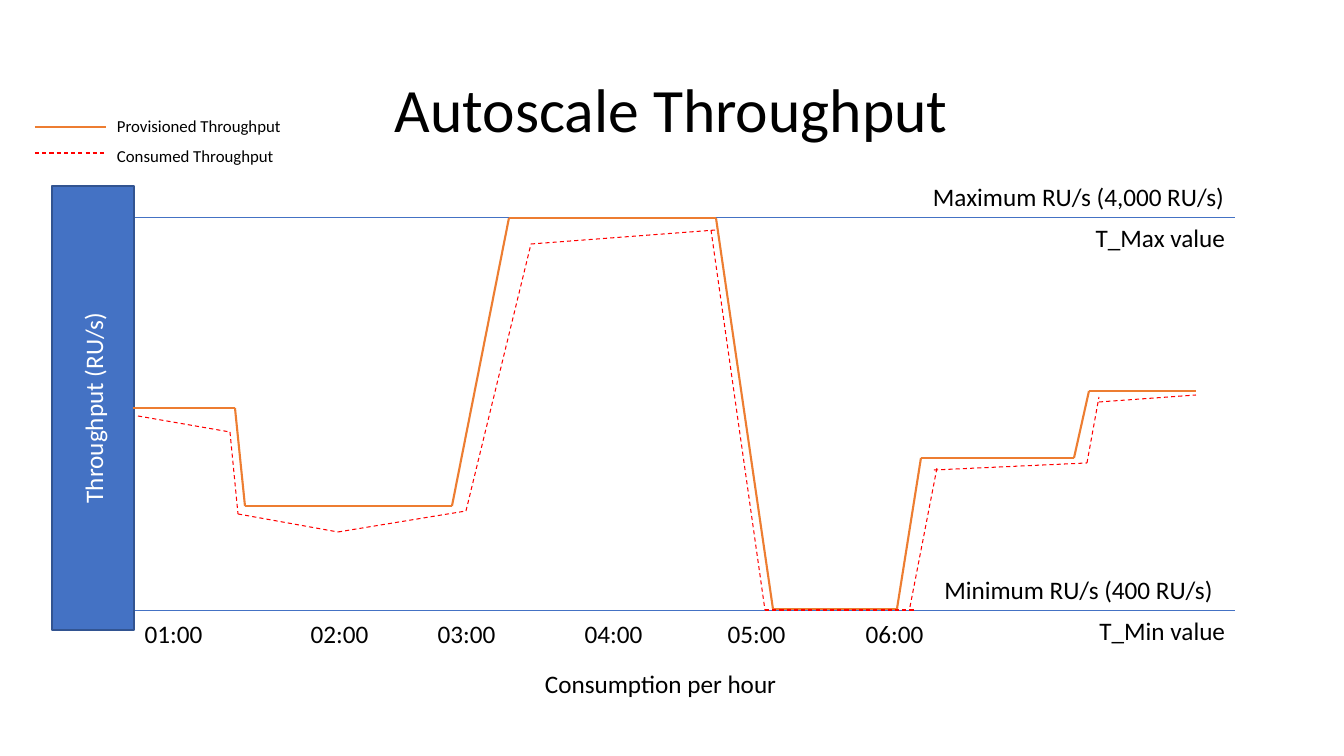
import itertools
import pptx
import pptx.util
import pptx.dml.color
import pptx.enum.dml
import pptx.enum.shapes
import pptx.enum.text
import pptx.oxml.ns
import lxml.etree

PIXEL = 914400 / 100.8
FONT = "Calibri"
BLACK = pptx.dml.color.RGBColor(0x00, 0x00, 0x00)
WHITE = pptx.dml.color.RGBColor(0xFF, 0xFF, 0xFF)
BLUE = pptx.dml.color.RGBColor(0x44, 0x72, 0xC4)
DARK_BLUE = pptx.dml.color.RGBColor(0x32, 0x54, 0x91)
ORANGE = pptx.dml.color.RGBColor(0xED, 0x7D, 0x31)
RED = pptx.dml.color.RGBColor(0xFF, 0x00, 0x00)
LEFT = pptx.enum.text.PP_ALIGN.LEFT
CENTER = pptx.enum.text.PP_ALIGN.CENTER
RIGHT = pptx.enum.text.PP_ALIGN.RIGHT

LIMIT_STYLE = (BLUE, 0.5, False)
PROVISIONED_STYLE = (ORANGE, 1.5, False)
CONSUMED_STYLE = (RED, 0.75, True)

PROVISIONED = [
    (40, 191), (142, 191), (152, 289), (359, 289), (416, 1), (623, 1),
    (680, 392), (804, 392), (828, 241), (981, 241), (996, 174), (1103, 174),
]
CONSUMED_RUNS = [
    [(45, 199), (137, 215), (145, 297), (245, 315), (373, 294), (438, 27), (623, 13)],
    [(618, 13), (672, 393), (823, 393)],
    [(817, 390), (844, 251)],
    [(841, 253), (994, 246), (1006, 180)],
    [(1006, 185), (1103, 178)],
]
HOURS = [("01:00", 40), ("02:00", 206), ("03:00", 333),
         ("04:00", 480), ("05:00", 623), ("06:00", 761)]


def emu(*pixels):
    return [round(value * PIXEL) for value in pixels]


def write(shape, text, size, color, align):
    frame = shape.text_frame
    frame.word_wrap = True
    frame.text = text
    para = frame.paragraphs[0]
    para.alignment = align
    font = para.runs[0].font
    font.name = FONT
    font.size = pptx.util.Pt(size)
    font.color.rgb = color
    return frame


def add_label(page, box, text, size=18, align=CENTER):
    return write(page.shapes.add_textbox(*emu(*box)), text, size, BLACK, align)


def add_line(page, start, end, style):
    color, width, dashed = style
    line = page.shapes.add_connector(
        pptx.enum.shapes.MSO_CONNECTOR.STRAIGHT, *emu(*start, *end))
    line.line.color.rgb = color
    line.line.width = pptx.util.Pt(width)
    if dashed:
        line.line.dash_style = pptx.enum.dml.MSO_LINE.DASH
    properties = line._element.spPr
    lxml.etree.SubElement(properties, pptx.oxml.ns.qn("a:effectLst"))


def add_series(page, box, points, style):
    left, top = box[:2]
    placed = [(left + x, top + y) for x, y in points]
    for start, end in itertools.pairwise(placed):
        add_line(page, start, end, style)


def add_title(page, box):
    frame = add_label(page, box, "Autoscale Throughput", 44)
    frame.vertical_anchor = pptx.enum.text.MSO_ANCHOR.MIDDLE
    frame.paragraphs[0].line_spacing = 0.9


def add_legend(page, box):
    left, top, width, height = box
    entries = [("Provisioned Throughput", PROVISIONED_STYLE, 16),
               ("Consumed Throughput", CONSUMED_STYLE, 42)]
    for row, (text, style, line_offset) in enumerate(entries):
        y = top + line_offset
        add_line(page, (left, y), (left + 71, y), style)
        add_label(page, (left + 72, top + row * height // 2, width - 72, height // 2),
                  text, 12, LEFT)


def add_axis(page, box):
    left, top, width, height = box
    bar = page.shapes.add_shape(
        pptx.enum.shapes.MSO_SHAPE.RECTANGLE,
        *emu(left + (width - height) / 2, top + (height - width) / 2, height, width))
    bar.rotation = 270
    bar.shadow.inherit = False
    bar.fill.solid()
    bar.fill.fore_color.rgb = BLUE
    bar.line.color.rgb = DARK_BLUE
    bar.line.width = pptx.util.Pt(1)
    frame = write(bar, "Throughput (RU/s)", 18, WHITE, CENTER)
    frame.vertical_anchor = pptx.enum.text.MSO_ANCHOR.MIDDLE


def add_plot(page, box):
    left, top, width, height = box
    limits = [(top, "Maximum RU/s (4,000 RU/s)", "T_Max value"),
              (top + height, "Minimum RU/s (400 RU/s)", "T_Min value")]
    for y, above, below in limits:
        add_line(page, (left, y), (left + width, y), LIMIT_STYLE)
        add_label(page, (left + width - 313, y - 41, 313, 40), above)
        add_label(page, (left + width - 313, y, 313, 40), below, align=RIGHT)
    add_axis(page, (left - 41, top - 31, 82, 444))
    add_series(page, box, PROVISIONED, PROVISIONED_STYLE)
    for points in CONSUMED_RUNS:
        add_series(page, box, points, CONSUMED_STYLE)
    for text, offset in HOURS:
        add_label(page, (left + offset, top + height + 3, 81, 40), text)
    add_label(page, (left + 442, top + height + 53, 257, 40),
              "Consumption per hour", align=LEFT)


def build_slide(deck):
    page = deck.slides.add_slide(deck.slide_layouts[6])
    add_title(page, (92, 40, 1159, 146))
    add_plot(page, (93, 217, 1142, 393))
    add_legend(page, (35, 111, 256, 60))


deck = pptx.Presentation()
deck.slide_width, deck.slide_height = emu(1344, 756)
build_slide(deck)
deck.save("out.pptx")
